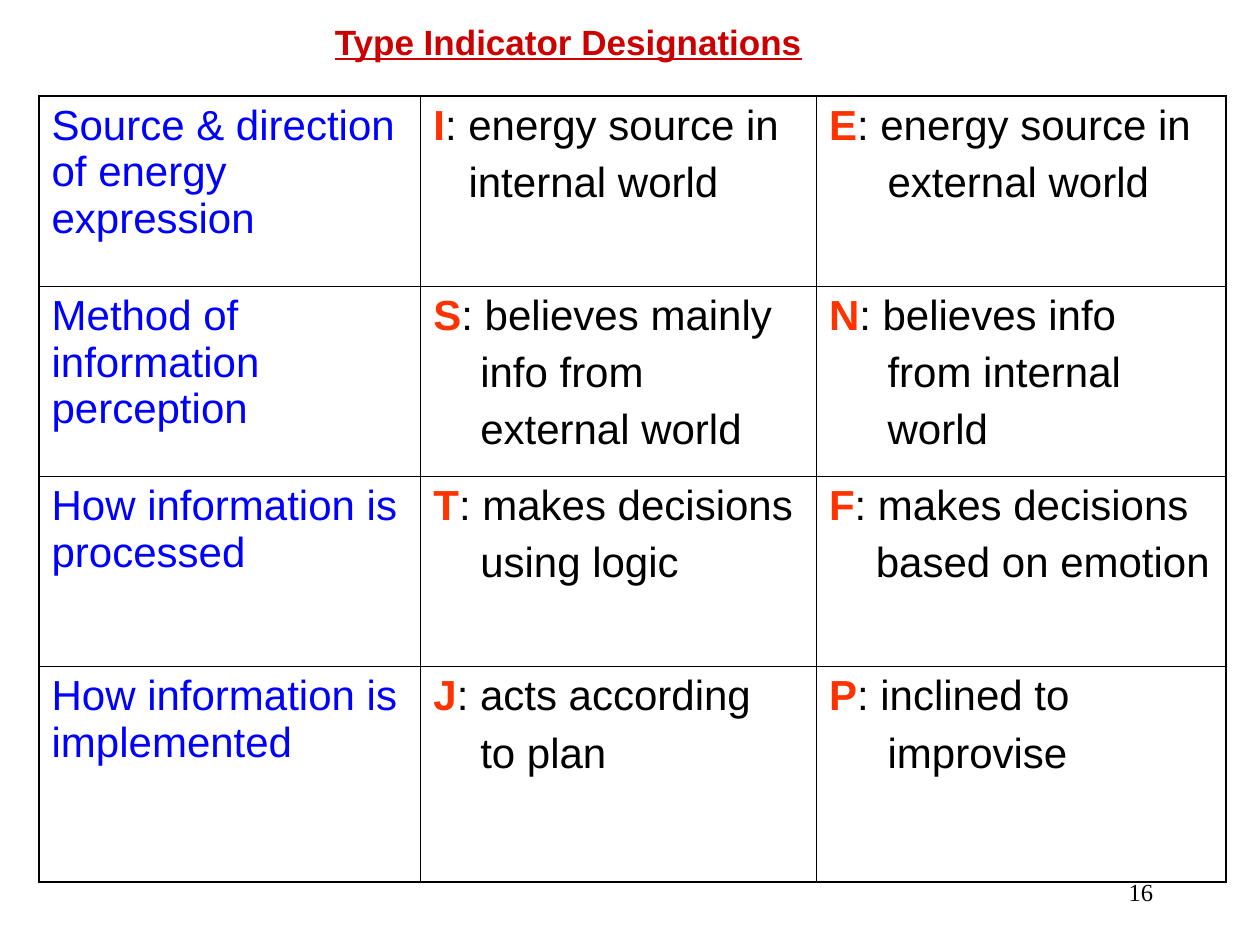
from lxml import etree
from pptx import Presentation
from pptx import util as u
from pptx.dml.color import RGBColor
from pptx.enum import text
from pptx.oxml import ns

COL_WIDTHS = [3.03, 3.14, 3.25]
ROW_HEIGHTS = [1.51, 1.51, 1.51, 1.71]
SPACE = 0.093  # width of one blank at the table's text size, in inches

# Each row: topic, then two types as (letter, lines, hanging indent in blanks)
ROWS = [
    ("Source & direction of energy expression",
     ("I", ["energy source in", "internal world"], 3),
     ("E", ["energy source in", "external world"], 5)),
    ("Method of information perception",
     ("S", ["believes mainly", "info from", "external world"], 4),
     ("N", ["believes info", "from internal", "world"], 5)),
    ("How information is processed",
     ("T", ["makes decisions", "using logic"], 4),
     ("F", ["makes decisions", "based on emotion"], 4)),
    ("How information is implemented",
     ("J", ["acts according", "to plan"], 4),
     ("P", ["inclined to", "improvise"], 5)),
]


def rgb(value):
    return RGBColor.from_string(value)


class Deck:
    font, size = "Arial", 24
    ink, topic, letter, heading = "000000", "0000FF", "FF3300", "CC0000"
    outer, inner = 1.08, 0.45

    def __init__(self, prs):
        self.s = prs.slides.add_slide(prs.slide_layouts[6])

    def style(self, p, color, size=None, font=None, before=6):
        p.font.name = font or self.font
        p.font.size = u.Pt(size or self.size)
        p.font.color.rgb = rgb(color)
        p.space_before = u.Pt(before)

    def text_box(self, content, box, **style):
        sp = self.s.shapes.add_textbox(*map(u.Inches, box))
        tf = sp.text_frame
        tf.word_wrap = True
        p = tf.paragraphs[0]
        p.text = content
        self.style(p, **style)
        return tf

    def table(self, left, top, widths, heights):
        frame = self.s.shapes.add_table(
            len(heights), len(widths), u.Inches(left), u.Inches(top),
            u.Inches(sum(widths)), u.Inches(sum(heights)))
        table = frame.table
        table.first_row = table.horz_banding = False
        for column, width in zip(table.columns, widths):
            column.width = u.Inches(width)
        for row, height in zip(table.rows, heights):
            row.height = u.Inches(height)
        last_row, last_col = len(heights) - 1, len(widths) - 1
        for i in range(len(heights)):
            for j in range(len(widths)):
                cell = table.cell(i, j)
                self.borders(cell, L=j == 0, R=j == last_col,
                             T=i == 0, B=i == last_row)
                cell.fill.background()
        return table

    def borders(self, cell, **sides):
        """Draw each side, heavier where it lies on the table's edge."""
        tc_pr = cell._tc.get_or_add_tcPr()
        for side, is_outer in sides.items():
            width = u.Pt(self.outer if is_outer else self.inner)
            ln = etree.SubElement(tc_pr, ns.qn(f"a:ln{side}"), w=str(width))
            fill = etree.SubElement(ln, ns.qn("a:solidFill"))
            etree.SubElement(fill, ns.qn("a:srgbClr"), val=self.ink)

    def topic_cell(self, cell, content):
        p = cell.text_frame.paragraphs[0]
        p.text = content
        self.style(p, self.topic)

    def type_cell(self, cell, letter, lines, blanks):
        """Write a red letter with its first line, then indented lines."""
        tf = cell.text_frame
        p = tf.paragraphs[0]
        self.style(p, self.ink)
        r = p.add_run()
        r.text = letter
        r.font.bold = True
        r.font.color.rgb = rgb(self.letter)
        p.add_run().text = f": {lines[0]}"
        for line in lines[1:]:
            p = tf.add_paragraph()
            p.text = line
            self.style(p, self.ink)
            p_pr = p._p.get_or_add_pPr()
            p_pr.set("marL", str(u.Inches(blanks * SPACE)))
            p_pr.set("indent", "0")


def main():
    prs = Presentation()
    prs.slide_width, prs.slide_height = u.Inches(10), u.Inches(7.5)
    deck = Deck(prs)

    table = deck.table(0.31, 0.76, COL_WIDTHS, ROW_HEIGHTS)
    for i, (topic, *types) in enumerate(ROWS):
        deck.topic_cell(table.cell(i, 0), topic)
        for j, entry in enumerate(types, start=1):
            deck.type_cell(table.cell(i, j), *entry)

    tf = deck.text_box("16", (7.17, 6.83, 2.08, 0.5), color=deck.ink,
                       size=14, font="Times New Roman", before=0)
    tf.vertical_anchor = text.MSO_ANCHOR.MIDDLE
    tf.paragraphs[0].alignment = text.PP_ALIGN.RIGHT

    tf = deck.text_box("Type Indicator Designations", (2.56, 0.11, 4.7, 0.44),
                       color=deck.heading, size=20, before=12.5)
    font = tf.paragraphs[0].font
    font.bold = font.underline = True

    prs.save("out.pptx")


if __name__ == "__main__":
    main()
